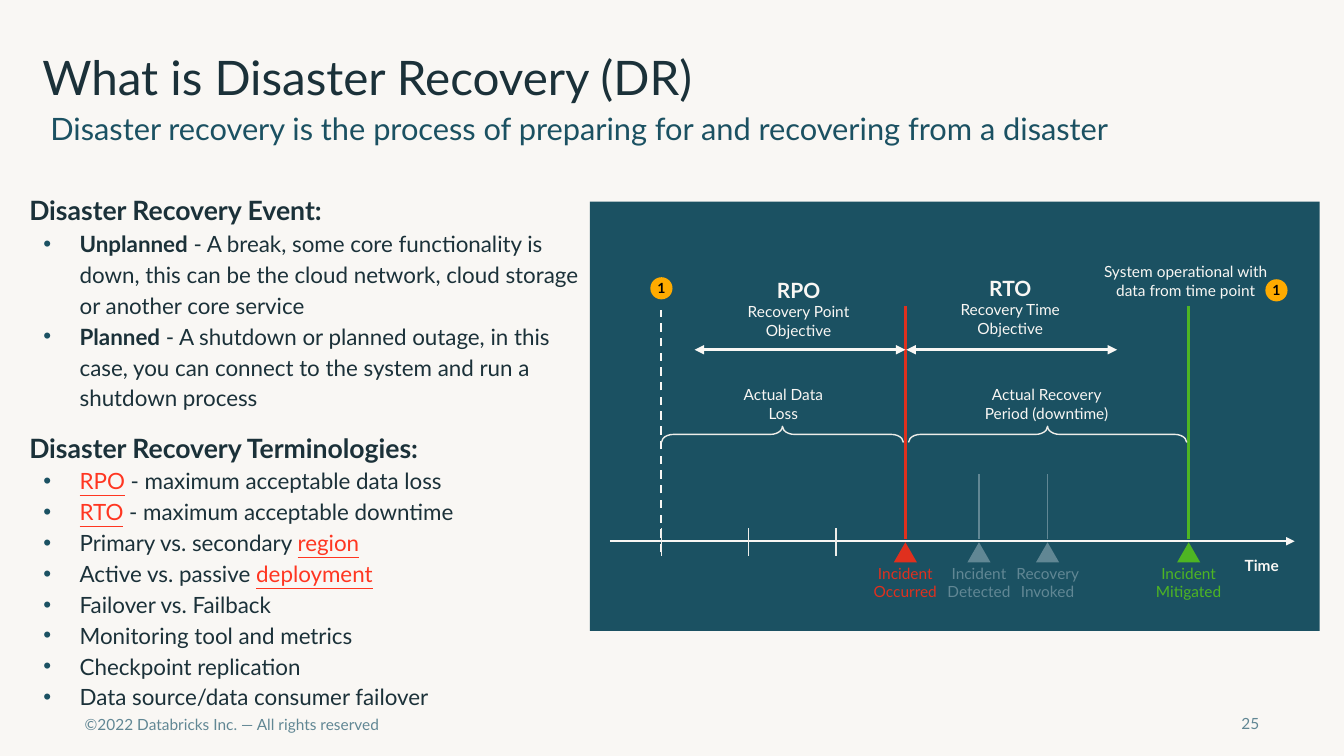
import pptx
import pptx.util
import pptx.dml.color
import pptx.enum.dml
import pptx.enum.shapes
import pptx.enum.text
import pptx.oxml.ns
import lxml.etree

WIDTH, HEIGHT = 13.33, 7.5
FONT = "Lato"
INK, TEAL, PAPER, GREY = "1B3139", "1B5162", "F9F7F4", "618794"
TERM, RED, GREEN, AMBER, PALE = "FF3621", "E0301E", "4EB523", "FFAB00", "EEEDE9"

TITLE = "What is Disaster Recovery (DR)"
SUBTITLE = "Disaster recovery is the process of preparing for and recovering from a disaster"
FOOTER, PAGE = "©2022 Databricks Inc. — All rights reserved", "25"
SECTIONS = [
    ("Disaster Recovery Event:", [
        [("Unplanned", "bold"), (" - A break, some core functionality is down, this can be "
                                 "the cloud network, cloud storage or another core service", "")],
        [("Planned", "bold"), (" - A shutdown or planned outage, in this case, you can connect "
                               "to the system and run a shutdown process", "")],
    ]),
    ("Disaster Recovery Terminologies:", [
        [("RPO", "term"), (" - maximum acceptable data loss", "")],
        [("RTO", "term"), (" - maximum acceptable downtime", "")],
        [("Primary vs. secondary ", ""), ("region", "term")],
        [("Active vs. passive ", ""), ("deployment", "term")],
        [("Failover vs. Failback", "")],
        [("Monitoring tool and metrics", "")],
        [("Checkpoint replication", "")],
        [("Data source/data consumer failover", "")],
    ]),
]

AXIS_Y, GOAL_Y = 5.37, 3.47
BACKUP_X, TICK_GAP, GOAL_SPAN = 6.56, 0.865, 2.09
OCCURRED_X, MITIGATED_X = 8.98, 11.79
EVENTS = [
    ("Incident Occurred", OCCURRED_X, RED, 3.04, 2.25),
    ("Incident Detected", 9.71, GREY, 4.7, 1),
    ("Recovery Invoked", 10.39, GREY, 4.7, 1),
    ("Incident Mitigated", MITIGATED_X, GREEN, 3.04, 2.25),
]
OBJECTIVES = [
    ("RPO", "Recovery Point Objective", 7.92, 2.75, OCCURRED_X - GOAL_SPAN),
    ("RTO", "Recovery Time Objective", 10.02, 2.73, OCCURRED_X + 0.01),
]
PERIODS = [
    ("Actual Data Loss", 7.77, 0.96, BACKUP_X, OCCURRED_X - 0.02),
    ("Actual Recovery Period (downtime)", 10.38, 1.44, OCCURRED_X + 0.03, MITIGATED_X - 0.02),
]
MARKERS = [(BACKUP_X, 2.86), (12.66, 2.88)]

ALIGN = pptx.enum.text.PP_ALIGN
ANCHOR = pptx.enum.text.MSO_ANCHOR
SHAPE = pptx.enum.shapes.MSO_SHAPE
inch = pptx.util.Inches


def rgb(value):
    return pptx.dml.color.RGBColor.from_string(value)


def add_xml(parent, tag, **attributes):
    return lxml.etree.SubElement(parent, pptx.oxml.ns.qn(tag), attributes)


def place(sp, x, y, w, h):
    sp.left, sp.top, sp.width, sp.height = inch(x), inch(y), inch(w), inch(h)


def style(font, size, color, bold=False):
    font.name, font.size, font.bold = FONT, pptx.util.Pt(size), bold
    font.color.rgb = rgb(color)


def prepare(tf, anchor=ANCHOR.TOP, inset=0):
    tf.word_wrap = True
    tf.auto_size = pptx.enum.text.MSO_AUTO_SIZE.NONE
    tf.vertical_anchor = anchor
    tf.margin_left = tf.margin_right = tf.margin_top = tf.margin_bottom = inch(inset)


def write(tf, lines, align=ALIGN.CENTER):
    tf.text = "\n".join(line[0] for line in lines)
    for p, (text, *look) in zip(tf.paragraphs, lines):
        p.alignment = align
        style(p.runs[0].font, *look)


def add_label(x, y, w, h, lines, align=ALIGN.CENTER, anchor=ANCHOR.TOP, inset=0):
    sp = s.shapes.add_textbox(inch(x), inch(y), inch(w), inch(h))
    prepare(sp.text_frame, anchor, inset)
    write(sp.text_frame, lines, align)
    return sp


def add_caption(text, center, y, w, color):
    add_label(center - w / 2, y, w, 0.35, [(text, 11, color)], anchor=ANCHOR.MIDDLE)


def add_shape(kind, x, y, w, h, fill=None, line=None):
    sp = s.shapes.add_shape(kind, inch(x), inch(y), inch(w), inch(h))
    sp.shadow.inherit = False
    if fill:
        sp.fill.solid()
        sp.fill.fore_color.rgb = rgb(fill)
    else:
        sp.fill.background()
    if line:
        sp.line.color.rgb = rgb(line)
        sp.line.width = pptx.util.Pt(1)
    else:
        sp.line.fill.background()
    return sp


def add_line(x1, y1, x2, y2, color, width, ends=(), dash=False):
    sp = s.shapes.add_connector(pptx.enum.shapes.MSO_CONNECTOR.STRAIGHT,
                                inch(x1), inch(y1), inch(x2), inch(y2))
    sp.line.color.rgb = rgb(color)
    sp.line.width = pptx.util.Pt(width)
    if dash:
        sp.line.dash_style = pptx.enum.dml.MSO_LINE.DASH
    for end in ends:
        add_xml(sp.line._get_or_add_ln(), end, type="triangle")
    add_xml(sp._element.spPr, "a:effectLst")


def add_body_paragraph(tf, first, runs, size, bullet, before=0):
    p = tf.paragraphs[0] if first else tf.add_paragraph()
    pPr = p._p.get_or_add_pPr()
    pPr.set("marL", str(inch(0.5 if bullet else 0)))
    pPr.set("indent", str(inch(-0.36 if bullet else 0)))
    p.line_spacing = 1.15
    p.space_before = pptx.util.Pt(before)
    if bullet:
        add_xml(add_xml(pPr, "a:buClr"), "a:srgbClr", val=TEAL)
        add_xml(pPr, "a:buChar", char="•")
    else:
        add_xml(pPr, "a:buNone")
    for text, look in runs:
        r = p.add_run()
        r.text = text
        style(r.font, size, TERM if look == "term" else INK, look == "bold")
        r.font.underline = look == "term"


def add_text():
    title, body = s.shapes.title, s.placeholders[1]
    place(title, 0.42, 0.47, 12.27, 0.64)
    prepare(title.text_frame, ANCHOR.MIDDLE)
    write(title.text_frame, [(TITLE, 34, INK)], ALIGN.LEFT)
    title.text_frame.paragraphs[0].line_spacing = 0.9

    place(body, 0.29, 1.88, 5.56, 5.2)
    prepare(body.text_frame)
    for i, (heading, items) in enumerate(SECTIONS):
        add_body_paragraph(body.text_frame, i == 0, [(heading, "bold")], 19, False, 11 * i)
        for runs in items:
            add_body_paragraph(body.text_frame, False, runs, 16, True)

    sp = add_label(0.5, 1.13, 12.42, 0.64, [(SUBTITLE, 22, TEAL)], ALIGN.LEFT)
    sp.text_frame.paragraphs[0].line_spacing = 0.9
    add_label(0.71, 6.96, 5.88, 0.45, [(FOOTER, 11, GREY)], ALIGN.LEFT, inset=0.13)
    add_label(12.14, 7.08, 0.35, 0.2, [(PAGE, 11, GREY)], ALIGN.RIGHT)


def add_timeline():
    add_shape(SHAPE.RECTANGLE, 5.85, 2, 7.24, 4.26, TEAL)
    add_label(12.26, 5.52, 0.51, 0.17, [("Time", 11, PAPER, True)])
    add_line(6.05, AXIS_Y, 12.84, AXIS_Y, PAPER, 1.5, ["a:tailEnd"])
    add_line(BACKUP_X, 5.48, BACKUP_X, 3.08, PAPER, 1.5, dash=True)
    for i in range(3):
        x = BACKUP_X + i * TICK_GAP
        add_line(x, 5.24, x, 5.52, PALE, 1)
    for text, x, color, top, width in EVENTS:
        add_line(x, AXIS_Y - 0.02, x, top, color, width)
        add_shape(SHAPE.ISOSCELES_TRIANGLE, x - 0.115, AXIS_Y + 0.01, 0.23, 0.2, color)
        add_caption(text, x, 5.6, 0.96, color)
    for name, meaning, center, y, start in OBJECTIVES:
        add_label(center - 0.54, y, 1.08, 0.61, [(name, 15, PAPER, True), (meaning, 11, PAPER)])
        add_line(start, GOAL_Y, start + GOAL_SPAN, GOAL_Y, PAPER, 2.25, ["a:headEnd", "a:tailEnd"])
    for text, center, w, start, end in PERIODS:
        depth, length = 0.16, end - start
        sp = add_shape(SHAPE.LEFT_BRACE, (start + end - depth) / 2, 4.31 - length / 2,
                       depth, length, line=PALE)
        sp.rotation = 90
        sp.adjustments[0] = 0.75
        add_caption(text, center, 3.83, w, PAPER)
    add_caption("System operational with data from time point", 11.76, 2.61, 1.81, PAPER)
    for x, y in MARKERS:
        sp = add_shape(SHAPE.OVAL, x - 0.11, y - 0.11, 0.22, 0.22, AMBER)
        prepare(sp.text_frame, ANCHOR.MIDDLE)
        sp.text_frame.word_wrap = False
        write(sp.text_frame, [("1", 10, "000000", True)])


prs = pptx.Presentation()
prs.slide_width, prs.slide_height = inch(WIDTH), inch(HEIGHT)
s = prs.slides.add_slide(prs.slide_layouts[1])
s.background.fill.solid()
s.background.fill.fore_color.rgb = rgb(PAPER)
add_text()
add_timeline()
prs.save("out.pptx")
